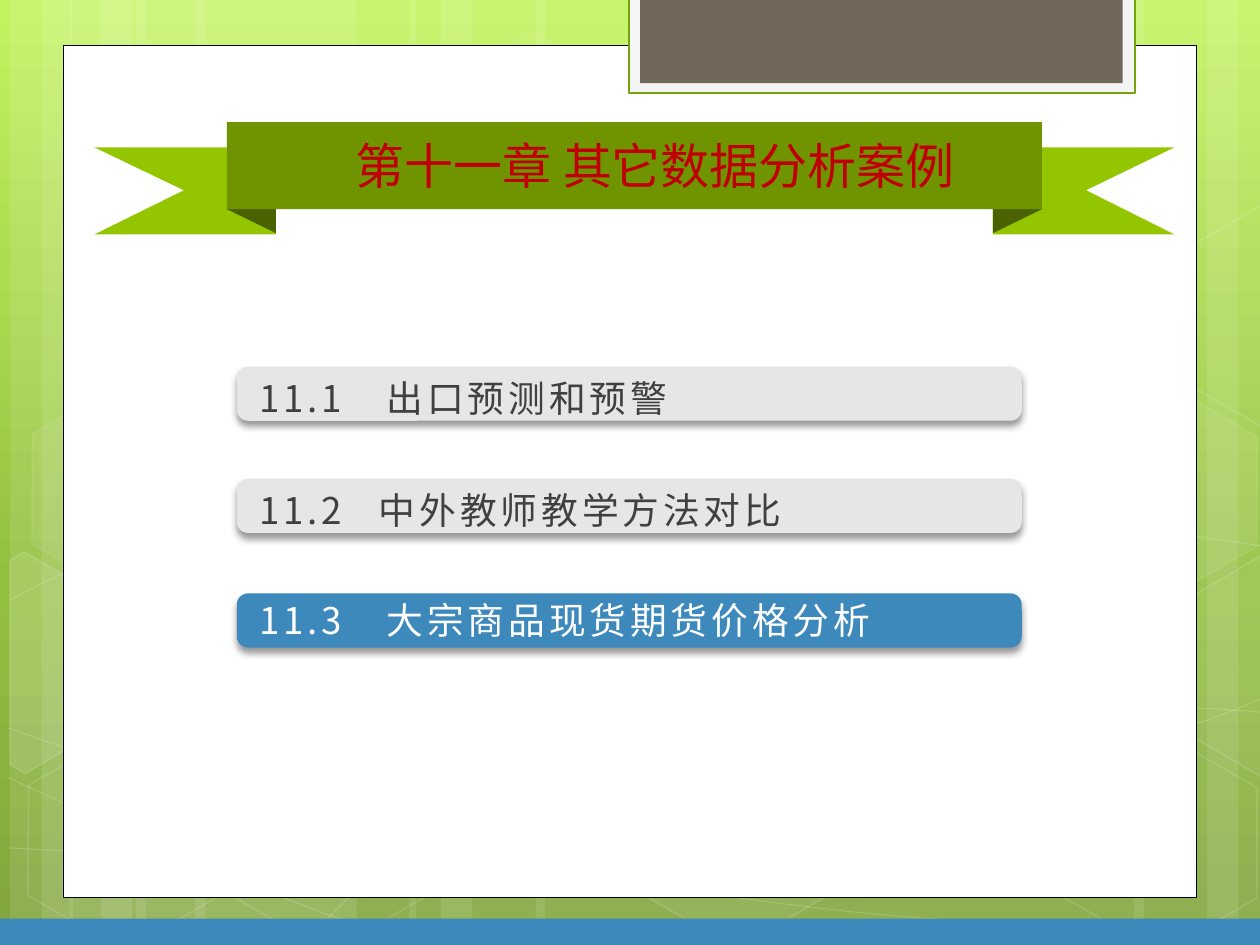
from copy import deepcopy
from lxml.etree import SubElement
from pptx import Presentation
from pptx.dml.color import RGBColor
from pptx.enum.shapes import MSO_SHAPE
from pptx.enum.text import MSO_ANCHOR, PP_ALIGN
from pptx.oxml.ns import qn
from pptx.util import Inches, Pt

STRIPES = [(1.08, 1.75), (0.08, 0.5), (0.33, 0.83), (1.55, 1.75), (0.55, 0.5), (0.8, 0.83),
           (7.33, 1.75), (9.58, 0.5), (9, 0.83), (4.25, 3.08), (3.25, 0.5), (3.5, 0.83)]
CURVES = [
    [(0.07, 6.73), (0.61, 6.76), (1.15, 6.79), (1.9, 6.78), (2.65, 6.77), (3.58, 6.75),
     (4.58, 6.65), (5.58, 6.55), (7, 6.36), (7.92, 6.17), (8.83, 5.98), (9.77, 5.68), (10.07, 5.51)],
    [(0.07, 4.77), (0.36, 4.61), (0.65, 4.46), (1.21, 4.31), (1.78, 4.16), (2.59, 3.94),
     (3.47, 3.87), (4.36, 3.8), (5.44, 3.79), (6.54, 3.87), (7.64, 3.95), (9.47, 4.26), (10.07, 4.34)],
    [(0.06, 6.17), (1.27, 6.72), (2.47, 7.27), (3.34, 7.49)],
    [(0.07, 5.78), (0.38, 5.89), (0.7, 6), (1.28, 6.16), (1.86, 6.31), (2.73, 6.56), (3.57, 6.73),
     (4.4, 6.9), (5.45, 7.08), (6.28, 7.18), (7.11, 7.29), (8, 7.33), (8.53, 7.36),
     (9.05, 7.4), (9.19, 7.38), (9.45, 7.38), (9.71, 7.37), (9.89, 7.35), (10.07, 7.34)],
    [(2.42, 7.49), (2.6, 7.29), (2.78, 7.09), (3.02, 6.91), (3.26, 6.73), (3.6, 6.53), (3.88, 6.39),
     (4.16, 6.25), (4.33, 6.19), (4.7, 6.09), (5.06, 5.99), (5.73, 5.85), (6.08, 5.78),
     (6.44, 5.71), (6.49, 5.71), (6.8, 5.69), (7.11, 5.66), (7.6, 5.63), (7.94, 5.62),
     (8.29, 5.61), (8.86, 5.62), (8.86, 5.62), (9.08, 5.62), (9.3, 5.62), (9.53, 5.62),
     (9.71, 5.63), (9.88, 5.64), (9.97, 5.65), (10.06, 5.66), (10.03, 5.65), (10.06, 5.66)],
]
HEXAGONS = [(3.34, 0.36, 4, 8), (4.97, 5.89, 6, 12), (0.11, 5.91, 0, 12), (0.14, 3.12, 7, 8),
            (1.74, 5.92, 0, 12), (7.53, 4.53, 10, 12), (8.34, 5.93, 0, 12), (8.34, 3.14, 7, 8)]
CUT_HEXAGONS = [
    ([(0.08, 4.45), (0.19, 4.38), (0.96, 4.82), (0.95, 5.7), (0.2, 6.14), (0.08, 6.07)], 10),
    ([(9.26, 4.85), (10.01, 4.41), (10.09, 4.46), (10.09, 6.13), (10.02, 6.17), (9.26, 5.73)], 4),
    ([(9.26, 2.07), (10.01, 1.63), (10.1, 1.68), (10.09, 3.35), (10.02, 3.39), (9.26, 2.95)], 0),
]
SECTIONS = [
    (2.91, 0.02, "11.1　出口预测和预警", "E6E6E6", "404040"),
    (3.8, 0.02, "11.2\t中外教师教学方法对比", "E6E6E6", "404040"),
    (4.71, -0.02, "11.3　大宗商品现货期货价格分析", "3D89BC", "FFFFFF"),
]


def rgb(color):
    return RGBColor.from_string(color)


def fade(element, alpha):
    if alpha < 100:
        for clr in element.iter(qn("a:srgbClr")):
            SubElement(clr, qn("a:alpha"), val=str(alpha * 1000))


def paint(sp, fill=None, alpha=100, line=None, width=1, line_alpha=100):
    sp.shadow.inherit = False
    props = sp._element.spPr
    if fill and alpha:
        sp.fill.solid()
        sp.fill.fore_color.rgb = rgb(fill)
        fade(props.find(qn("a:solidFill")), alpha)
    else:
        sp.fill.background()
    if line:
        sp.line.color.rgb = rgb(line)
        sp.line.width = Pt(width)
        fade(props.find(qn("a:ln")), line_alpha)
    else:
        sp.line.fill.background()
    return sp


def add_box(s, x, y, w, h, fill, kind=MSO_SHAPE.RECTANGLE, **style):
    sp = s.shapes.add_shape(kind, Inches(x), Inches(y), Inches(w), Inches(h))
    return paint(sp, fill, **style)


def add_outline(s, points, close=True, **style):
    pts = [(Inches(x), Inches(y)) for x, y in points]
    fb = s.shapes.build_freeform(*pts[0], scale=1.0)
    fb.add_line_segments(pts[1:], close=close)
    return paint(fb.convert_to_shape(), **style)


def add_curve(s, knots, **style):
    sp = add_outline(s, knots, close=False, **style)
    outline = sp._element.find(".//" + qn("a:path"))
    segments = outline.findall(qn("a:lnTo"))
    for i in range(0, len(segments), 3):
        bezier = SubElement(outline, qn("a:cubicBezTo"))
        for segment in segments[i:i + 3]:
            bezier.append(segment[0])
            outline.remove(segment)
    return sp


def add_shadow(sp):
    effects = sp._element.spPr.find(qn("a:effectLst"))
    shadow = SubElement(effects, qn("a:outerShdw"), blurRad=str(Pt(4)), dist=str(Pt(3)),
                        dir="5400000", algn="t", rotWithShape="0")
    clr = SubElement(shadow, qn("a:srgbClr"), val="000000")
    SubElement(clr, qn("a:alpha"), val="40000")


def write(sp, text, size, font, color, spacing=0):
    tf = sp.text_frame
    tf.word_wrap = True
    tf.vertical_anchor = MSO_ANCHOR.MIDDLE
    tf.margin_left = Inches(0.1)
    tf.margin_right = 0
    tf.margin_top = tf.margin_bottom = Inches(0.05)
    p = tf.paragraphs[0]
    p.alignment = PP_ALIGN.LEFT
    if "\t" in text:
        tabs = SubElement(p._p.get_or_add_pPr(), qn("a:tabLst"))
        SubElement(tabs, qn("a:tab"), pos=str(Inches(0.95)), algn="l")
    r = p.add_run()
    r.text = text
    r.font.size = Pt(size)
    r.font.name = font
    r.font.color.rgb = rgb(color)
    props = r._r.get_or_add_rPr()
    SubElement(props, qn("a:ea"), typeface=font)
    if spacing:
        props.set("spc", str(spacing))


def set_background(s):
    fill = s.background.fill
    fill.gradient()
    fill.gradient_angle = 270
    stops = s._element.find(".//" + qn("a:gsLst"))
    stops.append(deepcopy(stops[-1]))
    colors = [("C3F35F", 0), ("93BF3F", 0.62), ("81A53E", 1)]
    for stop, (color, position) in zip(fill.gradient_stops, colors):
        stop.color.rgb = rgb(color)
        stop.position = position


def add_backdrop(s):
    parts = [add_box(s, x, 0, w, 7.5, "FFFFFF", alpha=10) for x, w in STRIPES]
    for knots in CURVES:
        parts.append(add_curve(s, knots, line="FFFFFF", width=0.5, line_alpha=20))
    for x, y, alpha, line_alpha in HEXAGONS:
        sp = add_box(s, x, y, 1.75, 1.52, "FFFFFF", MSO_SHAPE.HEXAGON, alpha=alpha,
                     line="FFFFFF", line_alpha=line_alpha)
        sp.adjustments[0] = 0.285
        sp.rotation = 30
        parts.append(sp)
    for points, alpha in CUT_HEXAGONS:
        parts.append(add_outline(s, points, fill="FFFFFF", alpha=alpha,
                                 line="FFFFFF", line_alpha=12))
    return s.shapes.add_group_shape(parts)


def add_panel(s):
    return [add_box(s, 0.5, 0.36, 9, 6.76, "FFFFFF", line="000000", width=0.5),
            add_box(s, 4.99, -0.02, 4.02, 0.76, "F5F5F5", line="74A510", width=1.25),
            add_box(s, 5.08, -0.02, 3.83, 0.68, "71685A")]


def move_to_master(prs, shapes):
    tree = prs.slide_master.shapes._spTree
    for sp in shapes:
        tree.append(sp._element)
    for i, props in enumerate(tree.iter(qn("p:cNvPr")), 1):
        props.set("id", str(i))


def add_section(s, y, offset, text, fill, color):
    bar = add_box(s, 1.88, y, 6.23, 0.43, fill, MSO_SHAPE.ROUNDED_RECTANGLE)
    bar.adjustments[0] = 0.207
    add_shadow(bar)
    tb = s.shapes.add_textbox(Inches(1.96), Inches(y + offset), Inches(5.16), Inches(0.45))
    write(tb, text, 21, "Noto Sans CJK SC", color, 220)
    s.shapes.add_group_shape([bar, tb])


def add_ribbon(s):
    parts = []
    for outer, inner, notch in ((0.75, 2.19, 1.46), (9.32, 7.88, 8.62)):
        tail = [(outer, 1.17), (inner, 1.17), (inner, 1.86), (outer, 1.86), (notch, 1.51)]
        parts.append(add_outline(s, tail, fill="94C600"))
    for x, rotation, flips in ((1.9, 90, ["flipV"]), (7.98, 270, ["flipH", "flipV"])):
        fold = add_box(s, x, 1.56, 0.19, 0.39, "4A6300", MSO_SHAPE.RIGHT_TRIANGLE)
        fold.rotation = rotation
        for flip in flips:
            fold._element.spPr.find(qn("a:xfrm")).set(flip, "1")
        parts.append(fold)
    parts.append(add_box(s, 1.8, 0.97, 6.47, 0.69, "6F9400"))
    s.shapes.add_group_shape(parts)


def add_title(s, text):
    title = s.shapes.title
    title.left, title.top, title.width, title.height = map(Inches, (2.72, 1.02, 5.02, 0.57))
    write(title, text, 28, "League Spartan", "C00000")
    s.shapes._spTree.append(title._element)


def main():
    prs = Presentation()
    prs.slide_width, prs.slide_height = Inches(10), Inches(7.5)
    s = prs.slides.add_slide(prs.slide_layouts[5])
    set_background(s)
    move_to_master(prs, [add_backdrop(s), *add_panel(s)])
    add_box(s, 0, 7.29, 10, 0.21, "3D89BC")
    for section in SECTIONS:
        add_section(s, *section)
    add_ribbon(s)
    add_title(s, "第十一章 其它数据分析案例")
    prs.save("out.pptx")


if __name__ == "__main__":
    main()
